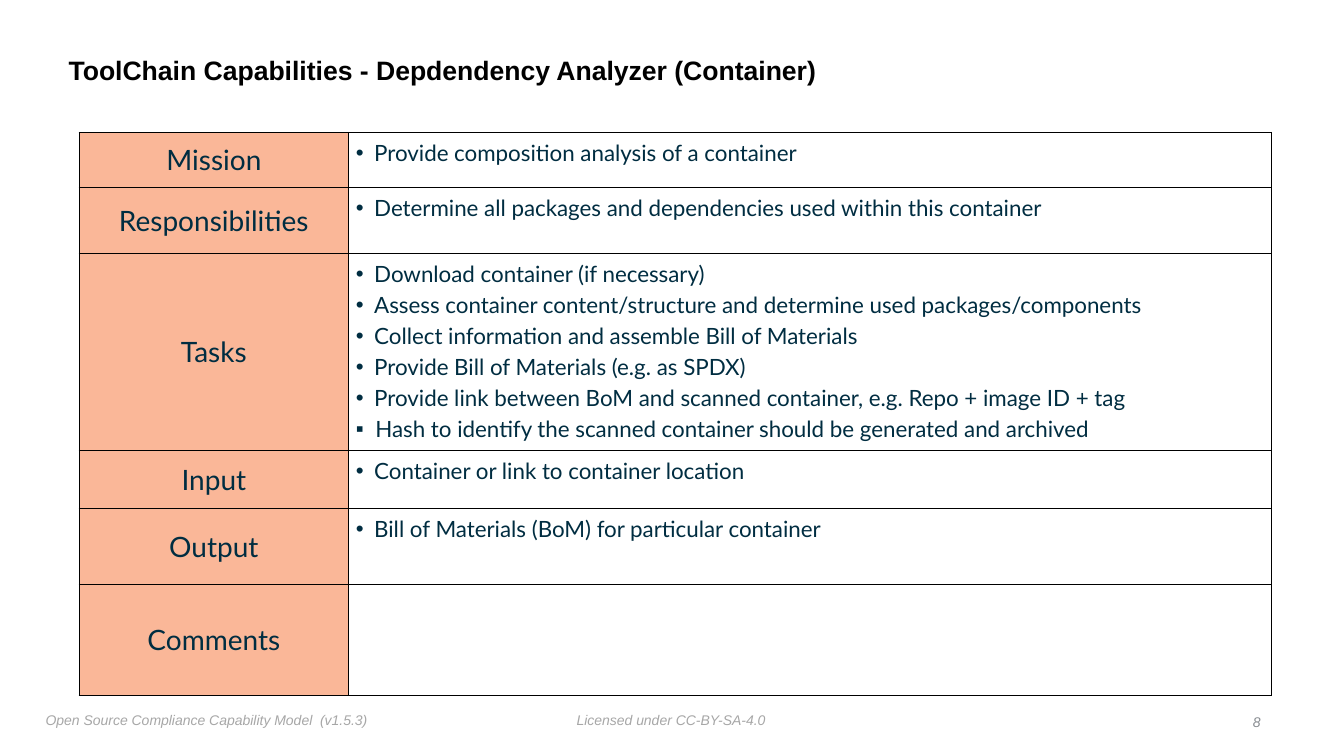
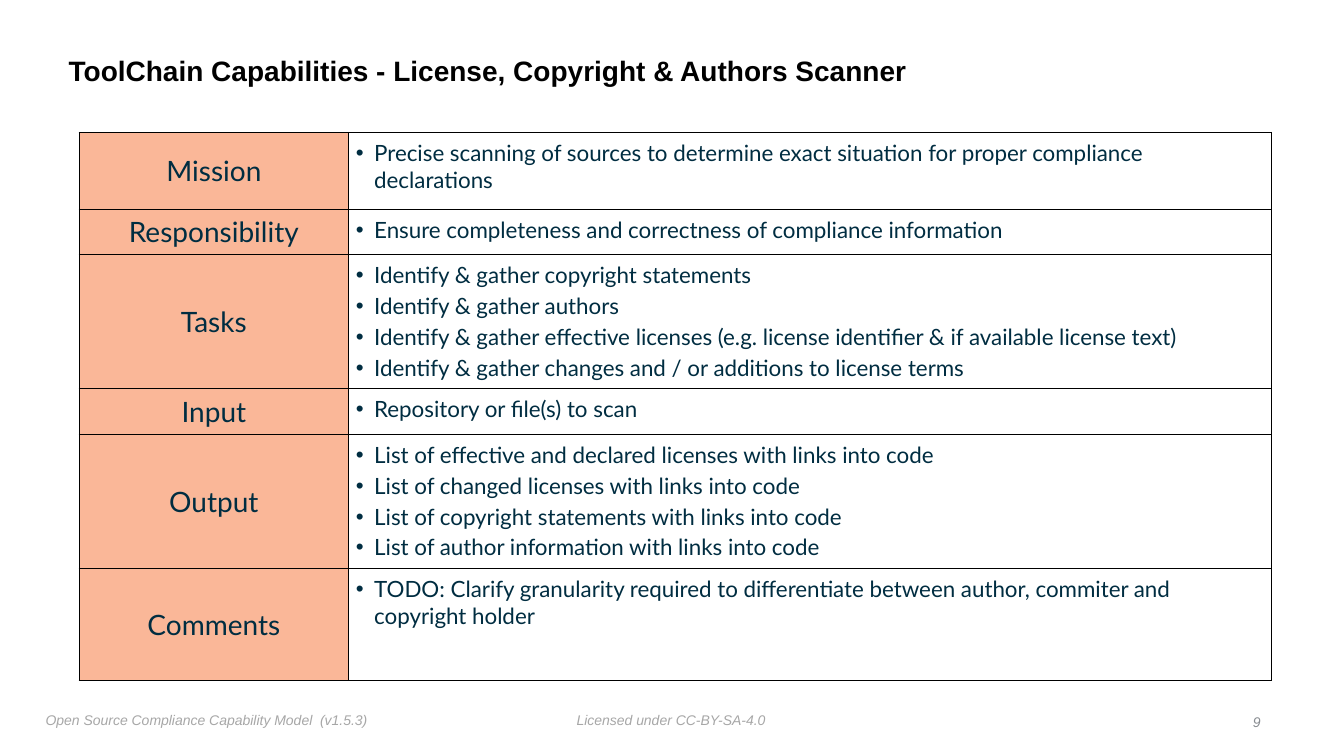
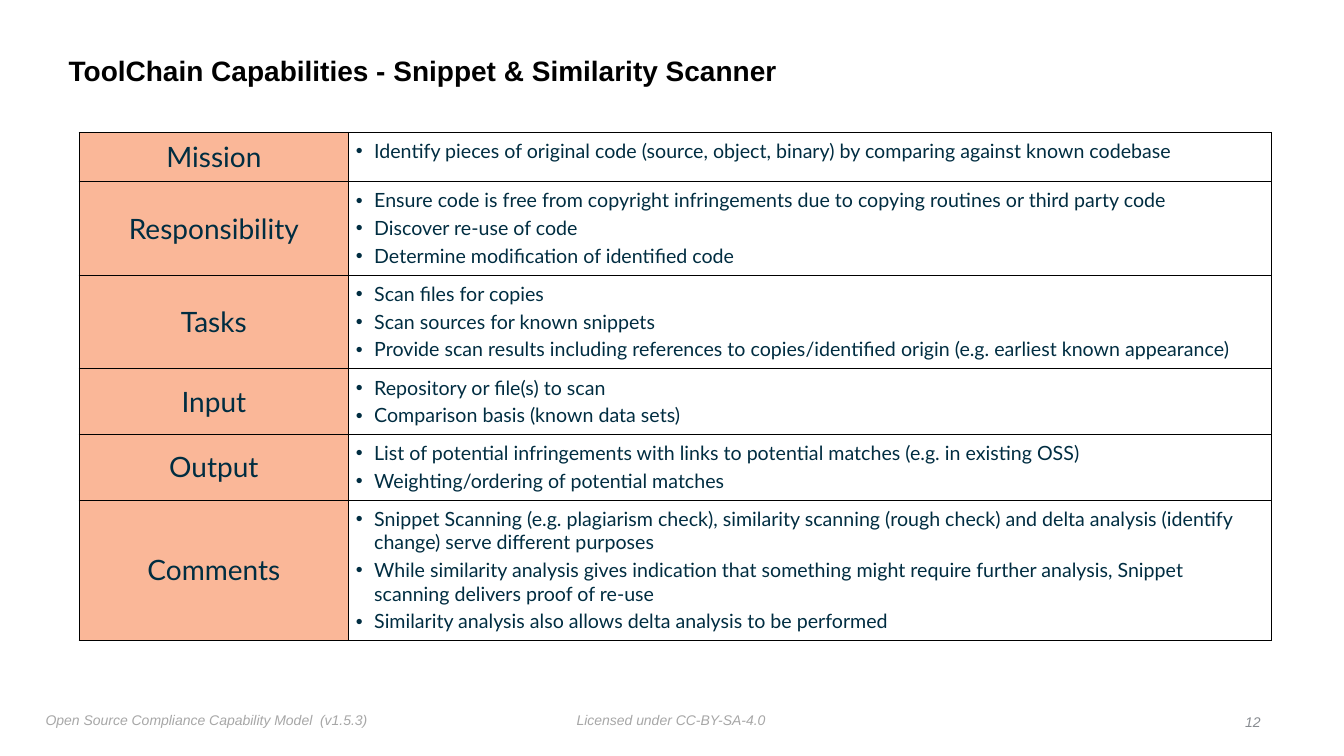
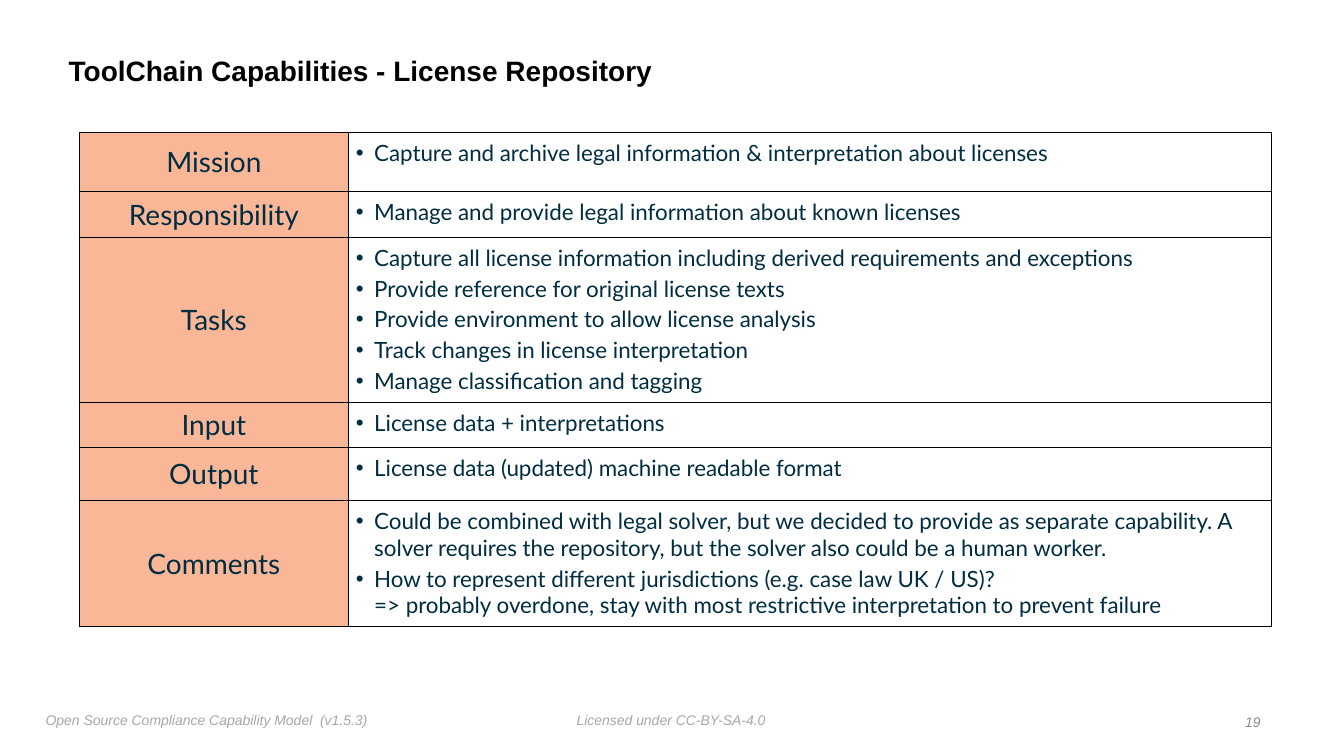
from pptx import Presentation, util as u
from pptx.dml.color import RGBColor
from pptx.enum import text
from pptx.oxml.ns import qn
from lxml import etree

Cm, Pt = u.Cm, u.Pt

COLORS = {"title": "000000", "border": "000000", "body": "002D41",
          "label": "FAB798", "footer": "A7A7A7", "number": "888C91"}
HEADING_FONT, BODY_FONT = "Arial", "Lato"
COLUMN_WIDTHS = (6.8, 23.26)
TABLE_LEFT, TABLE_TOP = 1.99, 3.33
LEFT, CENTER, RIGHT = text.PP_ALIGN.LEFT, text.PP_ALIGN.CENTER, text.PP_ALIGN.RIGHT
TOP, MIDDLE = text.MSO_ANCHOR.TOP, text.MSO_ANCHOR.MIDDLE


class CapabilityDeck:
    """Holds the deck style and the page being built."""

    def __init__(self):
        self.deck = Presentation()
        self.deck.slide_width, self.deck.slide_height = Cm(33.87), Cm(19.05)
        self.page = None

    def add_page(self, title, number, rows, title_size=20, body_size=16):
        self.page = self.deck.slides.add_slide(self.deck.slide_layouts[6])
        self.footer(number)
        self.title(title, title_size)
        self.table(rows, body_size)

    def style(self, para, size, color, font, bold=None, italic=None):
        para.font.size, para.font.name = Pt(size), font
        para.font.bold, para.font.italic = bold, italic
        para.font.color.rgb = RGBColor.from_string(COLORS[color])

    def text_box(self, words, place, size, color, align=LEFT, anchor=TOP, **emphasis):
        box = self.page.shapes.add_textbox(*(Cm(length) for length in place))
        frame = box.text_frame
        frame.word_wrap, frame.vertical_anchor = True, anchor
        frame.margin_left = frame.margin_right = Cm(0.13)
        frame.margin_top = frame.margin_bottom = Cm(0.13)
        para = frame.paragraphs[0]
        para.text, para.alignment = words, align
        self.style(para, size, color, HEADING_FONT, **emphasis)
        return para

    def title(self, words, size):
        para = self.text_box(words, (1.6, 0.99, 27.3, 1.65), size, "title",
                             anchor=MIDDLE, bold=True)
        para.line_spacing = 0.9

    def footer(self, number):
        self.text_box("Licensed under CC-BY-SA-4.0", (14.4, 17.8, 5.4, 0.64),
                      10, "footer", italic=True)
        self.text_box("Open Source Compliance Capability Model  (v1.5.3)",
                      (1.02, 17.8, 9, 0.64), 10, "footer", italic=True)
        self.text_box(str(number), (30.7, 17.86, 1.2, 0.64), 10, "number",
                      align=RIGHT, anchor=MIDDLE, italic=True)

    def table(self, rows, body_size):
        height = sum(row[1] for row in rows)
        frame = self.page.shapes.add_table(
            len(rows), 2, Cm(TABLE_LEFT), Cm(TABLE_TOP),
            Cm(sum(COLUMN_WIDTHS)), Cm(height))
        table = frame.table
        table.first_row = table.horz_banding = False
        for column, width in zip(table.columns, COLUMN_WIDTHS):
            column.width = Cm(width)
        for index, (label, row_height, items) in enumerate(rows):
            table.rows[index].height = Cm(row_height)
            self.label_cell(table.cell(index, 0), label)
            self.list_cell(table.cell(index, 1), items, body_size)

    def prepare_cell(self, cell, margin, anchor):
        cell.margin_left = cell.margin_right = Cm(margin)
        cell.margin_top = cell.margin_bottom = Cm(margin)
        cell.vertical_anchor = anchor
        properties = cell._tc.get_or_add_tcPr()
        for side in ("a:lnL", "a:lnR", "a:lnT", "a:lnB"):
            line = etree.SubElement(properties, qn(side), w=str(Pt(0.5)))
            fill = etree.SubElement(line, qn("a:solidFill"))
            etree.SubElement(fill, qn("a:srgbClr"), val=COLORS["border"])

    def label_cell(self, cell, label):
        self.prepare_cell(cell, 0, MIDDLE)
        cell.fill.solid()
        cell.fill.fore_color.rgb = RGBColor.from_string(COLORS["label"])
        para = cell.text_frame.paragraphs[0]
        para.text, para.alignment = label, CENTER
        self.style(para, 20, "body", BODY_FONT)

    def list_cell(self, cell, items, size):
        self.prepare_cell(cell, 0.18, TOP)
        cell.fill.background()
        frame = cell.text_frame
        for index, item in enumerate(items):
            para = frame.add_paragraph() if index else frame.paragraphs[0]
            # A pair gives its own bullet and indent
            bullet, indent, words = ("•", 0.46, item) if isinstance(item, str) else item
            para.text = words
            self.bullet(para, bullet, indent)
            if index:
                para.space_before = Pt(3)
            self.style(para, size, "body", BODY_FONT)

    def bullet(self, para, symbol, indent):
        properties = para._p.get_or_add_pPr()
        properties.set("marL", str(Cm(indent)))
        properties.set("indent", str(-Cm(indent)))
        etree.SubElement(properties, qn("a:buFont"), typeface="Arial")
        etree.SubElement(properties, qn("a:buChar"), char=symbol)


def main():
    capabilities = CapabilityDeck()

    # Each row: label, height in cm, list items
    capabilities.add_page("ToolChain Capabilities - Depdendency Analyzer (Container)", 8, [
        ("Mission", 1.4, ["Provide composition analysis of a container"]),
        ("Responsibilities", 1.66, [
            "Determine all packages and dependencies used within this container"]),
        ("Tasks", 4.95, [
            "Download container (if necessary)",
            "Assess container content/structure and determine used packages/components",
            "Collect information and assemble Bill of Materials",
            "Provide Bill of Materials (e.g. as SPDX)",
            "Provide link between BoM and scanned container, e.g. Repo + image ID + tag",
            ("▪", 0.49,
             "Hash to identify the scanned container should be generated and archived")]),
        ("Input", 1.47, ["Container or link to container location"]),
        ("Output", 1.9, ["Bill of Materials (BoM) for particular container"]),
        ("Comments", 2.81, []),
    ], title_size=19)

    capabilities.add_page("ToolChain Capabilities - License, Copyright & Authors Scanner", 9, [
        ("Mission", 1.94, [
            "Precise scanning of sources to determine exact situation for proper "
            "compliance declarations"]),
        ("Responsibility", 1.14, [
            "Ensure completeness and correctness of compliance information"]),
        ("Tasks", 3.38, [
            "Identify & gather copyright statements",
            "Identify & gather authors",
            "Identify & gather effective licenses (e.g. license identifier & if "
            "available license text)",
            "Identify & gather changes and / or additions to license terms"]),
        ("Input", 1.14, ["Repository or file(s) to scan"]),
        ("Output", 3.38, [
            "List of effective and declared licenses with links into code",
            "List of changed licenses with links into code",
            "List of copyright statements with links into code",
            "List of author information with links into code"]),
        ("Comments", 2.81, [
            "TODO: Clarify granularity required to differentiate between author, "
            "commiter and copyright holder"]),
    ])

    capabilities.add_page("ToolChain Capabilities - Snippet & Similarity Scanner", 12, [
        ("Mission", 1.24, [
            "Identify pieces of original code (source, object, binary) by comparing "
            "against known codebase"]),
        ("Responsibility", 2.36, [
            "Ensure code is free from copyright infringements due to copying routines "
            "or third party code",
            "Discover re-use of code",
            "Determine modification of identified code"]),
        ("Tasks", 2.36, [
            "Scan files for copies",
            "Scan sources for known snippets",
            "Provide scan results including references to copies/identified origin "
            "(e.g. earliest known appearance)"]),
        ("Input", 1.64, [
            "Repository or file(s) to scan",
            "Comparison basis (known data sets)"]),
        ("Output", 1.64, [
            "List of potential infringements with links to potential matches "
            "(e.g. in existing OSS)",
            "Weighting/ordering of potential matches"]),
        ("Comments", 3.54, [
            "Snippet Scanning (e.g. plagiarism check), similarity scanning (rough check) "
            "and delta analysis (identify change) serve different purposes",
            "While similarity analysis gives indication that something might require "
            "further analysis, Snippet scanning delivers proof of re-use",
            "Similarity analysis also allows delta analysis to be performed"]),
    ], body_size=14)

    capabilities.add_page("ToolChain Capabilities - License Repository", 19, [
        ("Mission", 1.5, [
            "Capture and archive legal information & interpretation about licenses"]),
        ("Responsibility", 1.14, [
            "Manage and provide legal information about known licenses"]),
        ("Tasks", 4.17, [
            "Capture all license information including derived requirements and exceptions",
            "Provide reference for original license texts",
            "Provide environment to allow license analysis",
            "Track changes in license interpretation",
            "Manage classification and tagging"]),
        ("Input", 1.14, ["License data + interpretations"]),
        ("Output", 1.33, ["License data (updated) machine readable format"]),
        ("Comments", 3.16, [
            "Could be combined with legal solver, but we decided to provide as separate "
            "capability. A solver requires the repository, but the solver also could be "
            "a human worker.",
            "How to represent different jurisdictions (e.g. case law UK / US)?\n"
            "=> probably overdone, stay with most restrictive interpretation to "
            "prevent failure"]),
    ])

    capabilities.deck.save("out.pptx")


if __name__ == "__main__":
    main()
